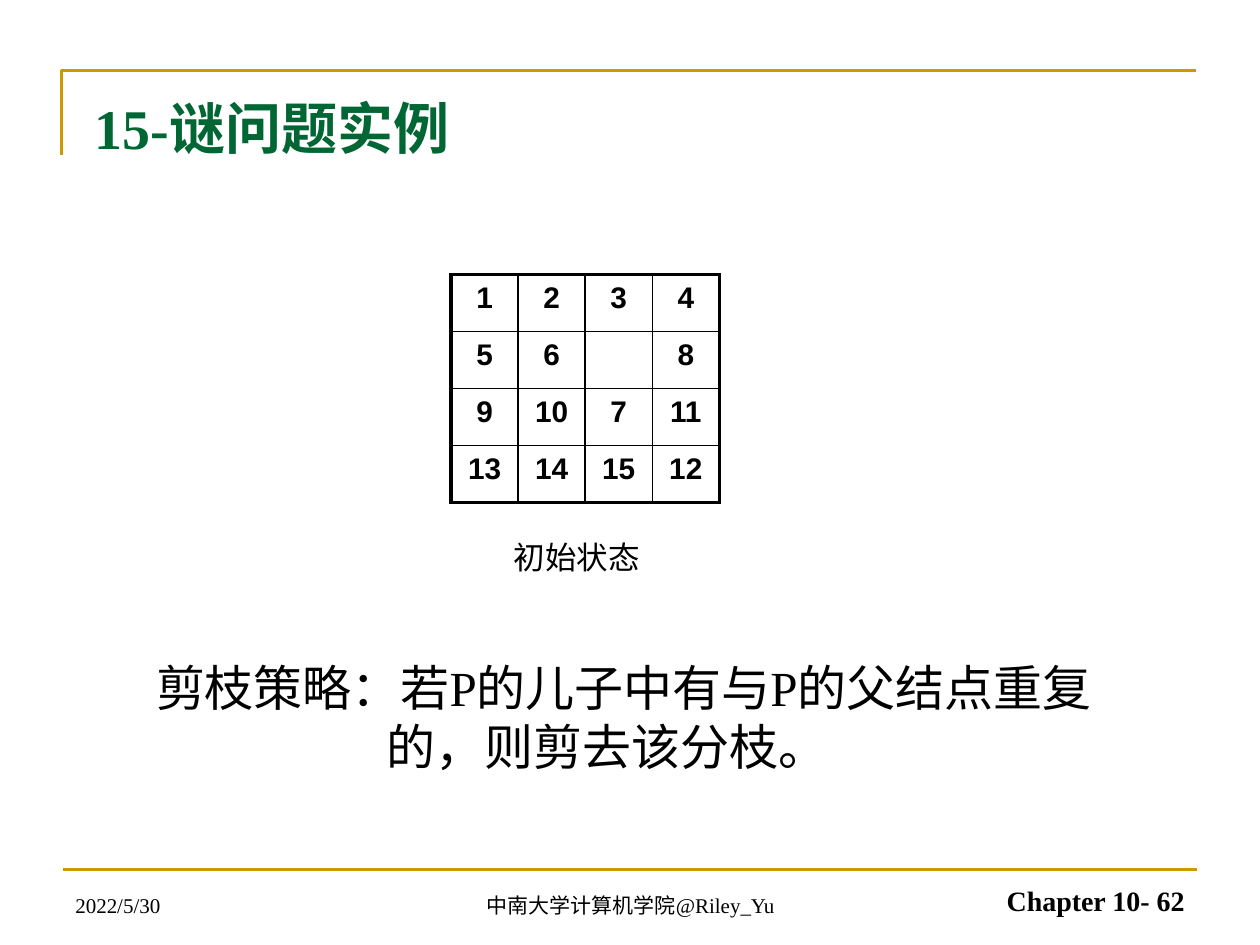
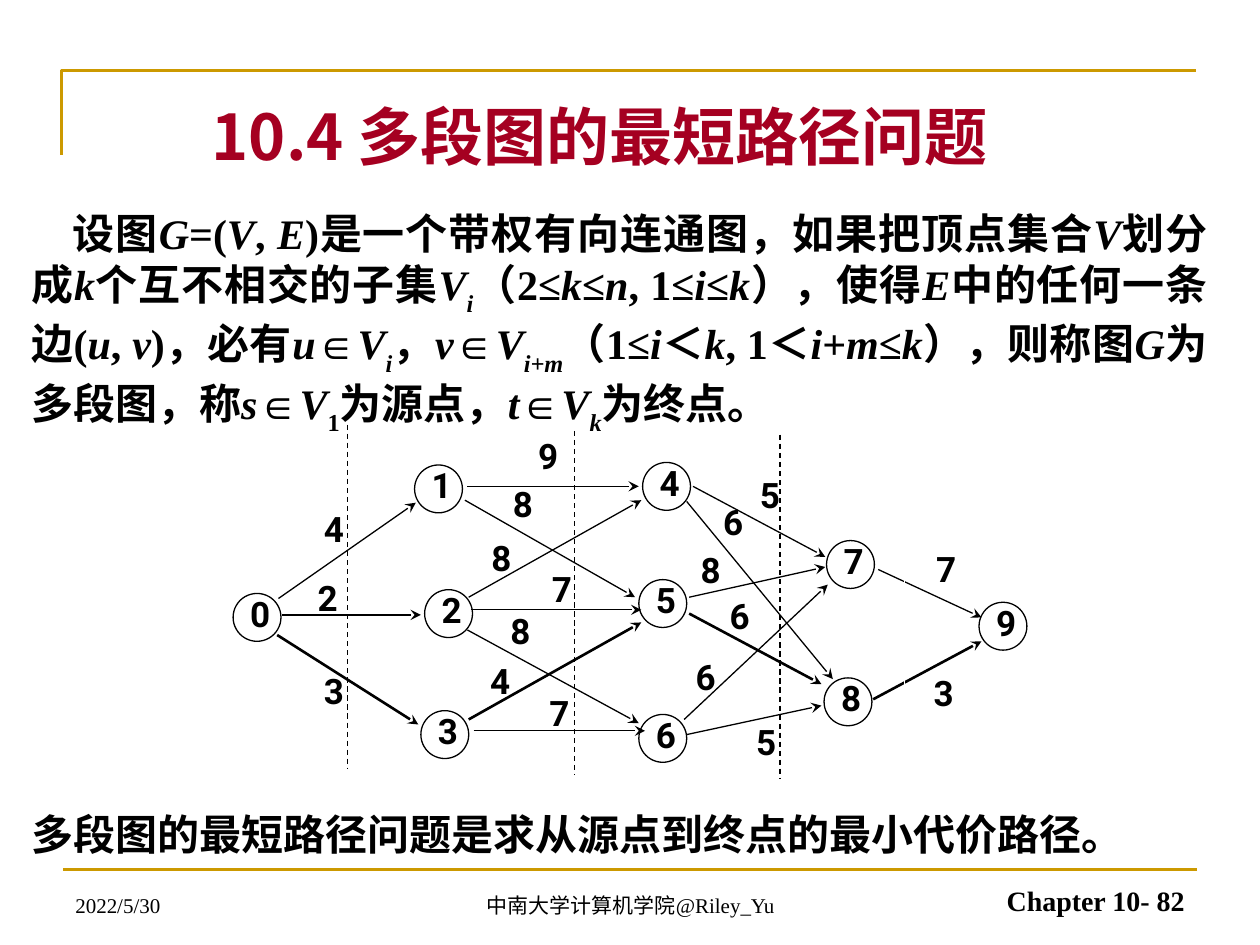
from dataclasses import dataclass

from lxml import etree
from pptx import Presentation
from pptx import util as u
from pptx.dml.color import RGBColor
from pptx.enum import dml, shapes, text
from pptx.oxml.ns import qn

INK, GOLD, GREEN, CRIMSON, WHITE = "000000", "CC9900", "006633", "A50021", "FFFFFF"
SERIF, SANS, CJK, DIGITS = "Times New Roman", "Arial", "Noto Sans CJK SC", "Roboto"
THIN, THICK = 0.75, 1.5


@dataclass
class Grid:
    """A region of the slide, measured in cells a tenth of an inch wide."""
    left: float
    top: float
    width: float
    height: float

    def point(self, x, y):
        return u.Inches((self.left + x) / 10), u.Inches((self.top + y) / 10)

    def box(self, x, y, width, height):
        return *self.point(x, y), u.Inches(width / 10), u.Inches(height / 10)

    def region(self, x, y, width, height):
        return Grid(self.left + x, self.top + y, width, height)

    @property
    def whole(self):
        return self.box(0, 0, self.width, self.height)


PAGE = Grid(0, 0, 100, 75)

# Left and top of each node inside the graph
NODES = [(0, 13.4), (14.4, 3.2), (15.2, 13.1), (14.9, 22.7), (32.5, 3),
         (32.2, 12.3), (32.2, 23), (47.1, 9.2), (46.9, 20.1), (59.2, 14.1)]
NODE_SIZE = 3.8

# Start, end, weight, place of the weight, line width
EDGES = [
    ((3.6, 13.8), (14.5, 6.2), 4, (6.4, 7.2), THIN),
    ((3.9, 15.1), (14.9, 15.1), 2, (5.9, 12.7), THIN),
    ((3.5, 16.7), (14.7, 23.8), 3, (6.4, 20.1), THICK),
    ((18.6, 4.9), (32.2, 4.9), 9, (23.4, 1.4), THIN),
    ((18.4, 6), (31.9, 13.7), 8, (21.4, 5.2), THIN),
    ((18.7, 13.7), (32.4, 6), 8, (19.7, 9.5), THIN),
    ((18.9, 14.7), (32.4, 14.7), 7, (24.5, 12), THIN),
    ((18.6, 16.3), (32.2, 23.7), 8, (21.2, 15.3), THIN),
    ((18.7, 23.4), (32.4, 15.7), 4, (19.6, 19.3), THICK),
    ((19.1, 24.3), (32.7, 24.3), 7, (24.3, 21.8), THIN),
    ((36.5, 4.9), (47, 10.5), 5, (41, 4.5), THIN),
    ((36, 6.1), (47.6, 20.2), 6, (38.1, 6.7), THIN),
    ((36.2, 13.7), (47, 11.3), 8, (36.3, 10.5), THIN),
    ((36.2, 15), (46.7, 20.6), 6, (38.6, 14.1), THICK),
    ((35.8, 23.4), (47.2, 12.7), 6, (35.9, 19), THIN),
    ((36, 24.6), (46.7, 22.3), 5, (40.7, 24.1), THIN),
    ((51.2, 11.5), (59.4, 15.3), 7, (55, 10.4), THIN),
    ((50.8, 21.8), (59.4, 17.2), 3, (54.8, 20.2), THICK),
]
STAGE_DIVIDERS = [(9.1, 0, INK), (27.1, 0.5, INK), (43.4, 0.8, INK), (53.3, 0.9, WHITE)]
DIVIDER_HEIGHT = 27.3

PUZZLE = [[1, 2, 3, 4], [5, 6, "", 8], [9, 10, 7, 11], [13, 14, 15, 12]]

# Pieces between bars: * italic, _ italic subscript, ^ upright subscript
DEFINITION = (
    "设图|*G|=(|*V|, |*E|)是一个带权有向连通图，如果把顶点集合|*V|划分成|*k|个互不相交的子集|*V|_i|"
    "（2≤|*k|≤|*n|, 1≤|*i|≤|*k|），使得|*E|中的任何一条边(|*u|, |*v|)，必有|*u|∈|*V|_i|，|*v|∈|*V|_i+m|"
    "（1≤|*i|＜|*k|, 1＜|*i|+|*m|≤|*k|），则称图|*G|为多段图，称|*s|∈|*V|^1|为源点，|*t|∈|*V|_k|为终点。")


def rgb(hex_code):
    return RGBColor.from_string(hex_code)


def style(paragraph, size, face, bold=False, color=INK, align=None):
    font = paragraph.font
    font.size, font.name, font.bold = u.Pt(size), face, bold
    font.color.rgb = rgb(color)
    paragraph.alignment = align


def indent(paragraph, **cells):
    """Sets marL or indent, in grid cells."""
    for attribute, length in cells.items():
        paragraph._p.get_or_add_pPr().set(attribute, str(u.Inches(length / 10)))


def add_text(slide, box, lines, *look, anchor=text.MSO_ANCHOR.TOP, **more):
    frame = slide.shapes.add_textbox(*box).text_frame
    frame.word_wrap = True
    frame.vertical_anchor = anchor
    frame.text = lines
    for paragraph in frame.paragraphs:
        style(paragraph, *look, **more)
    return frame


def add_line(slide, start, end, color, width, arrow=False, dashed=False):
    line = slide.shapes.add_connector(shapes.MSO_CONNECTOR.STRAIGHT, *start, *end)
    line.line.color.rgb = rgb(color)
    line.line.width = u.Pt(width)
    if dashed:
        line.line.dash_style = dml.MSO_LINE.DASH
    if arrow:
        etree.SubElement(line.line._get_or_add_ln(), qn("a:tailEnd"), type="stealth")
    etree.SubElement(line._element.spPr, qn("a:effectLst"))


def add_frame(slide, area):
    bracket = slide.shapes.build_freeform(*area.point(4.9, 12.3), scale=1.0)
    bracket.add_line_segments([area.point(4.9, 5.6), area.point(94.9, 5.6)], close=False)
    outline = bracket.convert_to_shape()
    outline.fill.background()
    outline.line.color.rgb = rgb(GOLD)
    outline.line.width = u.Pt(THICK)
    outline.shadow.inherit = False
    add_line(slide, area.point(5, 69), area.point(95, 69), GOLD, THICK)


def add_footer(slide, area, number):
    align = text.PP_ALIGN
    for left, width, words, size, bold, side in [
            (0, 23.3, "2022/5/30", 12, False, align.LEFT),
            (29.2, 31.7, "中南大学计算机学院@Riley_Yu", 12, False, align.CENTER),
            (66.7, 23.3, f"Chapter 10- {number}", 16, True, align.RIGHT)]:
        add_text(slide, area.box(left, 0, width, area.height), words, size, SERIF, bold,
                 align=side, anchor=text.MSO_ANCHOR.BOTTOM)


def add_page(deck, number, title, title_area, size, face, color):
    slide = deck.slides.add_slide(deck.slide_layouts.get_by_name("Title Only"))
    add_frame(slide, PAGE)
    heading = slide.shapes.title
    heading.left, heading.top, heading.width, heading.height = title_area.whole
    frame = heading.text_frame
    frame.text = title
    frame.auto_size = text.MSO_AUTO_SIZE.NONE
    frame.vertical_anchor = text.MSO_ANCHOR.TOP
    style(frame.paragraphs[0], size, face, True, color, text.PP_ALIGN.LEFT)
    add_footer(slide, PAGE.region(5, 68.3, 90, 5), number)
    return slide


def set_borders(cell, widths):
    properties = cell._tc.get_or_add_tcPr()
    for place, (side, width) in enumerate(widths.items()):
        border = etree.Element(qn(f"a:ln{side}"), w=str(u.Pt(width)))
        fill = etree.SubElement(border, qn("a:solidFill"))
        etree.SubElement(fill, qn("a:srgbClr"), val=INK)
        properties.insert(place, border)


def add_puzzle(slide, area):
    count = len(PUZZLE)
    table = slide.shapes.add_table(count, count, *area.whole).table
    table.first_row = table.horz_banding = False
    for r, row in enumerate(PUZZLE):
        for c, tile in enumerate(row):
            cell = table.cell(r, c)
            cell.text = str(tile)
            cell.fill.background()
            style(cell.text_frame.paragraphs[0], 17, SANS, True, align=text.PP_ALIGN.CENTER)
            outer = {"L": c == 0, "R": c == count - 1, "T": r == 0, "B": r == count - 1}
            set_borders(cell, {side: 2.25 if edge else 1 for side, edge in outer.items()})


def add_definition(slide, area):
    frame = add_text(slide, area.whole, "", 24, SERIF, True, align=text.PP_ALIGN.JUSTIFY)
    paragraph = frame.paragraphs[0]
    indent(paragraph, indent=3.3)
    for piece in DEFINITION.split("|"):
        mark = piece[0] if piece[0] in "*_^" else ""
        run = paragraph.add_run()
        run.text = piece[len(mark):]
        font = run.font
        font.name, font.size, font.bold = SERIF, u.Pt(24), True
        font.color.rgb = rgb(INK)
        font.italic = mark in ("*", "_")
        if mark in ("_", "^"):
            font._element.set("baseline", "-30000")


def write_digit(frame, digit):
    frame.text = str(digit)
    frame.word_wrap = True
    frame.vertical_anchor = text.MSO_ANCHOR.TOP
    frame.margin_left = u.Inches(0.08)
    frame.margin_top = frame.margin_right = frame.margin_bottom = 0
    style(frame.paragraphs[0], 20, DIGITS, True, align=text.PP_ALIGN.JUSTIFY)
    frame.paragraphs[0].line_spacing = 0.8


def add_stage_graph(slide, area):
    for number, corner in enumerate(NODES):
        node = slide.shapes.add_shape(shapes.MSO_SHAPE.OVAL,
                                      *area.box(*corner, NODE_SIZE, NODE_SIZE))
        node.shadow.inherit = False
        node.fill.background()
        node.line.color.rgb = rgb(INK)
        node.line.width = u.Pt(THIN)
        write_digit(node.text_frame, number)
    for start, end, weight, place, width in EDGES:
        add_line(slide, area.point(*start), area.point(*end), INK, width, arrow=True)
        label = slide.shapes.add_textbox(*area.box(*place, 2.1, 2.5))
        write_digit(label.text_frame, weight)
    for x, top, color in STAGE_DIVIDERS:
        add_line(slide, area.point(x, top), area.point(x, top + DIVIDER_HEIGHT),
                 color, THIN, dashed=True)


def build_puzzle_slide(deck):
    slide = add_page(deck, 62, "15-谜问题实例", PAGE.region(6.5, 6.9, 90, 12.5), 32, SERIF, GREEN)
    add_puzzle(slide, PAGE.region(35.8, 21.8, 21.3, 18.1))
    add_text(slide, PAGE.box(39.8, 42.2, 15.7, 4), "初始状态", 18, SANS)
    pruning = add_text(slide, PAGE.box(11.4, 51.7, 81.1, 10.3),
                       "剪枝策略：若P的儿子中有与P的父结点重复\n的，则剪去该分枝。", 28, SERIF)
    indent(pruning.paragraphs[1], marL=18.3)


def build_graph_slide(deck):
    slide = add_page(deck, 82, "10.4 多段图的最短路径问题", PAGE.region(15.8, 7.2, 66.7, 7),
                     36, CJK, CRIMSON)
    add_definition(slide, PAGE.region(1.5, 16, 95.3, 17))
    add_text(slide, PAGE.box(1.5, 63.7, 89.1, 5),
             "多段图的最短路径问题是求从源点到终点的最小代价路径。", 24, SANS, True)
    add_stage_graph(slide, PAGE.region(18.5, 33.7, 63, 28.2))


def main():
    deck = Presentation()
    deck.slide_width, deck.slide_height = PAGE.whole[2:]
    build_puzzle_slide(deck)
    build_graph_slide(deck)
    deck.save("out.pptx")


if __name__ == "__main__":
    main()
